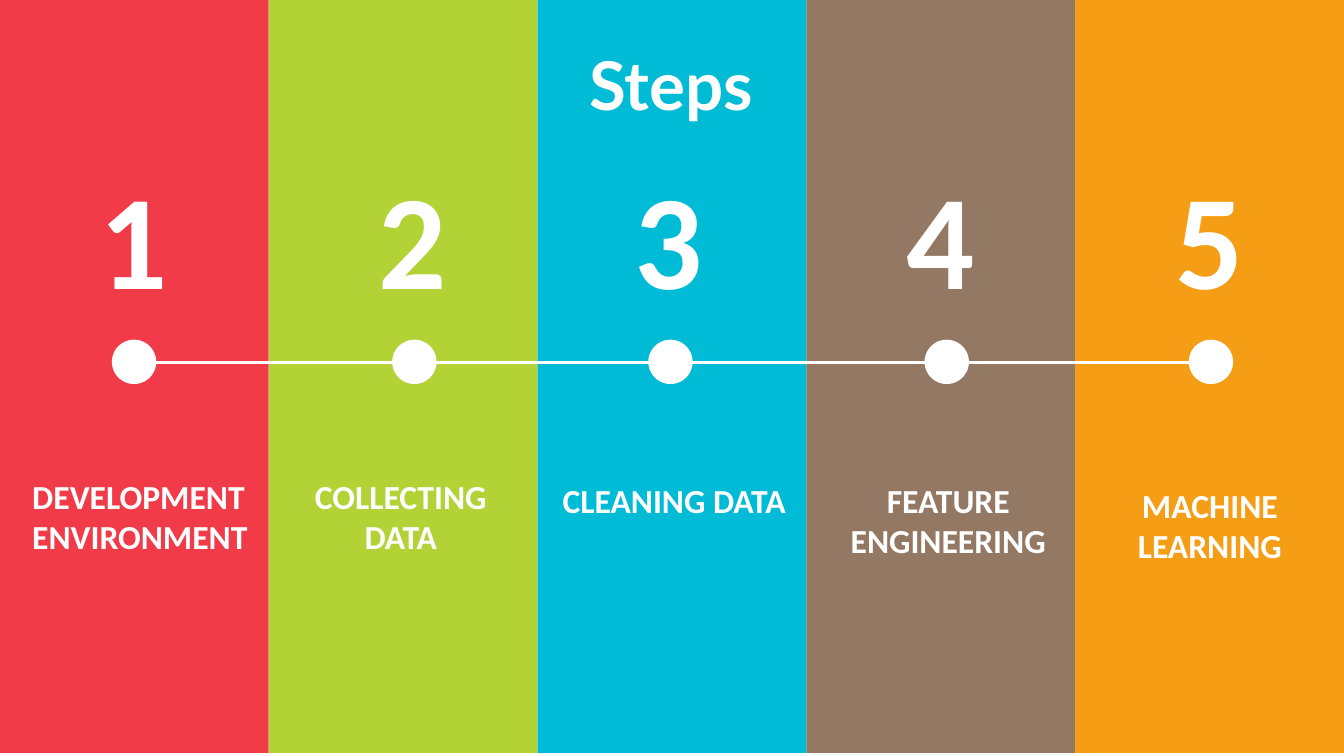
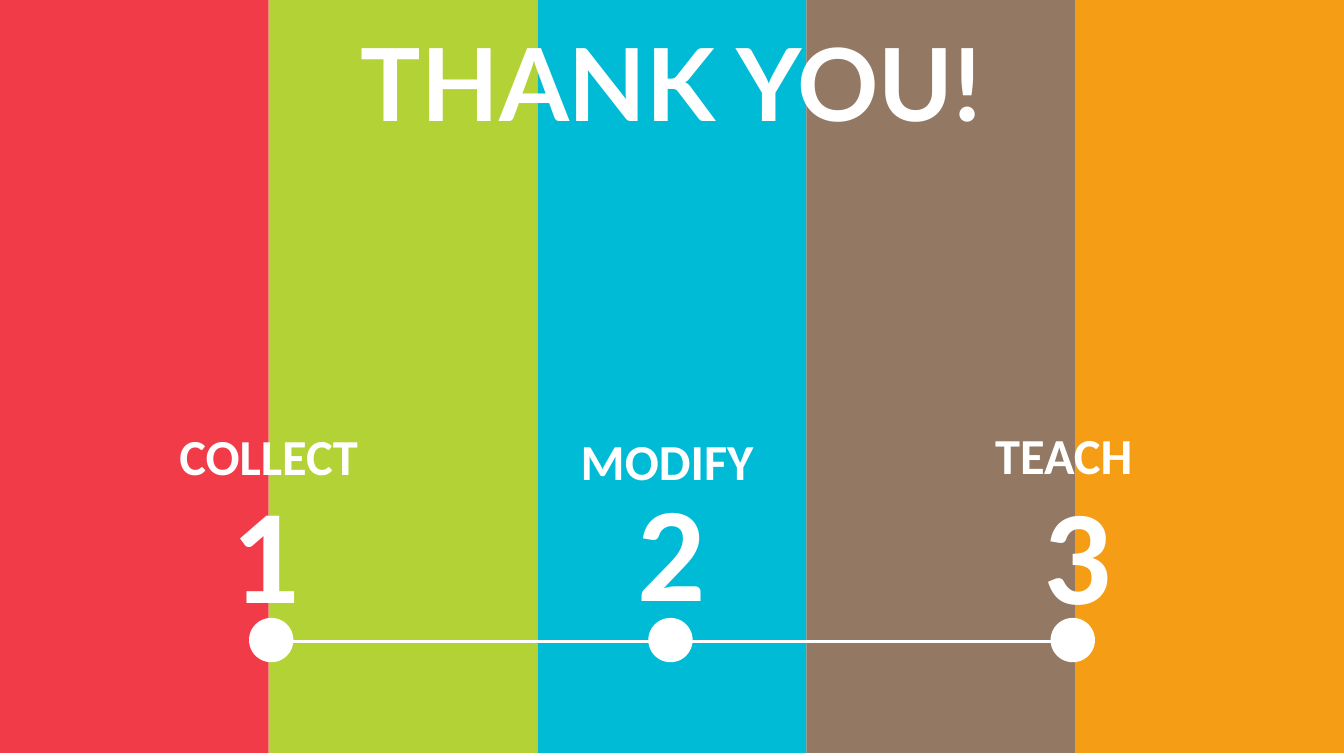
import dataclasses
import itertools

import pptx
import pptx.dml.color
import pptx.enum.shapes
import pptx.enum.text
import pptx.util
from lxml import etree

Inches = pptx.util.Inches
Pt = pptx.util.Pt
RGBColor = pptx.dml.color.RGBColor
SHAPE = pptx.enum.shapes.MSO_SHAPE
STRAIGHT = pptx.enum.shapes.MSO_CONNECTOR.STRAIGHT
ALIGN = pptx.enum.text.PP_ALIGN
ANCHOR = pptx.enum.text.MSO_ANCHOR
FIT = pptx.enum.text.MSO_AUTO_SIZE

# Shared look
RED = RGBColor(0xF1, 0x3B, 0x48)
GREEN = RGBColor(0xB2, 0xD2, 0x35)
CYAN = RGBColor(0x00, 0xBB, 0xD6)
BROWN = RGBColor(0x93, 0x78, 0x63)
ORANGE = RGBColor(0xF4, 0x9D, 0x15)
WHITE = RGBColor(0xFF, 0xFF, 0xFF)
BAND_COLOURS = (RED, GREEN, CYAN, BROWN, ORANGE)
SLIDE_W, SLIDE_H = 13.33, 7.5
DOT = 0.44
LINE_DROP = 0.23
TITLE_FONT, BODY_FONT = "Lato", "Calibri"
TITLE_FRAME = {"word_wrap": True, "auto_size": FIT.NONE,
               "vertical_anchor": ANCHOR.MIDDLE}
NO_MARGINS = {"margin_left": 0, "margin_right": 0,
              "margin_top": 0, "margin_bottom": 0}
LABEL_FRAME = {"word_wrap": True, "auto_size": FIT.SHAPE_TO_FIT_TEXT, **NO_MARGINS}
NUMBER_FRAME = {"word_wrap": False, "auto_size": FIT.SHAPE_TO_FIT_TEXT}


@dataclasses.dataclass
class Box:
    left: float
    top: float
    width: float
    height: float

    def inches(self):
        return [Inches(v) for v in (self.left, self.top, self.width, self.height)]

    def inside(self, left, top, width, height):
        return Box(self.left + left, self.top + top, width, height)


@dataclasses.dataclass
class Step:
    """One stop on a timeline; positions count from the timeline's box."""
    dot_x: float
    number_x: float
    number_y: float
    label: str
    label_box: tuple
    align: ALIGN = ALIGN.CENTER


def apply(target, values):
    for name, value in values.items():
        setattr(target, name, value)


def write(frame, text, frame_format, font, size, **paragraph_format):
    apply(frame, frame_format)
    frame.text = text
    paragraph = frame.paragraphs[0]
    apply(paragraph, paragraph_format)
    run_font = paragraph.runs[0].font
    apply(run_font, {"name": font, "size": Pt(size), "bold": True})
    run_font.color.rgb = WHITE


def filled(shapes, kind, box, colour):
    shape = shapes.add_shape(kind, *box.inches())
    shape.shadow.inherit = False
    shape.fill.solid()
    shape.fill.fore_color.rgb = colour
    shape.line.fill.background()


def add_bands(slide, box):
    bands = slide.shapes.add_group_shape().shapes
    width = box.width / len(BAND_COLOURS)
    for i, colour in enumerate(BAND_COLOURS):
        filled(bands, SHAPE.RECTANGLE, box.inside(i * width, 0, width, box.height), colour)


def add_title(slide, box, text, size):
    title = slide.shapes.title
    title.left, title.top, title.width, title.height = box.inches()
    write(title.text_frame, text, TITLE_FRAME, TITLE_FONT, size,
          alignment=ALIGN.CENTER, line_spacing=0.9)
    # Bring the title in front of the bands
    title.element.getparent().append(title.element)


def add_track(slide, box, steps, dot_y):
    """Lines from dot to dot, then the dots over their ends."""
    y = Inches(box.top + dot_y + LINE_DROP)
    for step, following in itertools.pairwise(steps):
        ends = [Inches(box.left + s.dot_x + DOT / 2) for s in (step, following)]
        line = slide.shapes.add_connector(STRAIGHT, ends[0], y, ends[1], y)
        line.line.color.rgb = WHITE
        line.line.width = Pt(2.25)
        etree.SubElement(line.element.spPr, pptx.oxml.ns.qn("a:effectLst"))
    for step in steps:
        filled(slide.shapes, SHAPE.OVAL, box.inside(step.dot_x, dot_y, DOT, DOT), WHITE)


def add_timeline(slide, box, steps, dot_y, label_size):
    add_track(slide, box, steps, dot_y)
    for number, step in enumerate(steps, 1):
        digit = slide.shapes.add_textbox(
            *box.inside(step.number_x, step.number_y, 0.88, 1.72).inches())
        write(digit.text_frame, str(number), NUMBER_FRAME, BODY_FONT, 96)
        label = slide.shapes.add_textbox(*box.inside(*step.label_box).inches())
        write(label.text_frame, step.label, LABEL_FRAME, BODY_FONT, label_size,
              alignment=step.align)


def add_banded_slide(deck, title, title_size, timeline_box, steps, dot_y, label_size):
    slide = deck.slides.add_slide(deck.slide_layouts.get_by_name("Title Only"))
    add_bands(slide, Box(0, -0.03, SLIDE_W, SLIDE_H))
    add_timeline(slide, timeline_box, steps, dot_y, label_size)
    add_title(slide, Box(1.66, 0.59, 10, 0.59), title, title_size)


# Content
PROCESS = [
    Step(1.11, 0.89, 0, "DEVELOPMENT ENVIRONMENT", (0.32, 3.23, 2.23, 0.81), ALIGN.LEFT),
    Step(3.89, 3.66, 0, "COLLECTING DATA", (2.97, 3.23, 2.01, 0.81)),
    Step(6.43, 6.19, 0, "CLEANING DATA", (5.58, 3.27, 2.38, 0.4), ALIGN.LEFT),
    Step(9.17, 8.89, 0, "FEATURE ENGINEERING", (8.35, 3.27, 2.11, 0.81)),
    Step(11.79, 11.56, 0, "MACHINE LEARNING", (11.2, 3.32, 1.6, 0.81)),
]
SUMMARY = [
    Step(2.47, 2.2, 0.4, "COLLECT", (1.66, 0.02, 2.01, 0.61)),
    Step(6.43, 6.22, 0.38, "MODIFY", (5.76, 0.07, 2.38, 0.61), ALIGN.LEFT),
    Step(10.42, 10.25, 0.41, "TEACH", (9.87, 0.01, 1.5, 0.61), ALIGN.LEFT),
]


def main():
    deck = pptx.Presentation()
    deck.slide_width, deck.slide_height = Inches(SLIDE_W), Inches(SLIDE_H)
    add_banded_slide(deck, "Steps", 48, Box(0, 1.49, SLIDE_W, 4.13), PROCESS, 1.88, 24)
    add_banded_slide(deck, "THANK YOU!", 72, Box(0, 4.2, SLIDE_W, 2.37), SUMMARY, 1.93, 36)
    deck.save("out.pptx")


if __name__ == "__main__":
    main()
